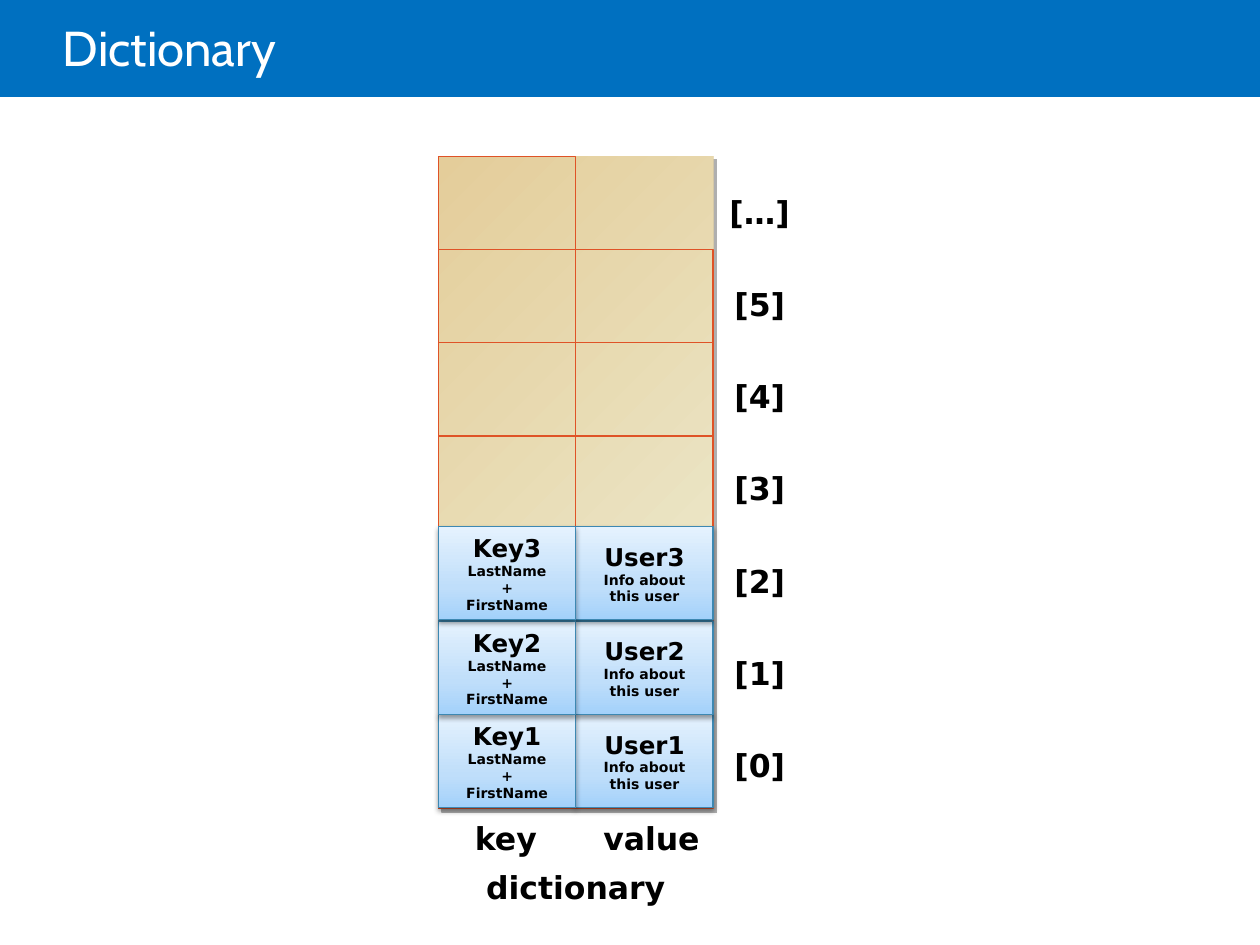
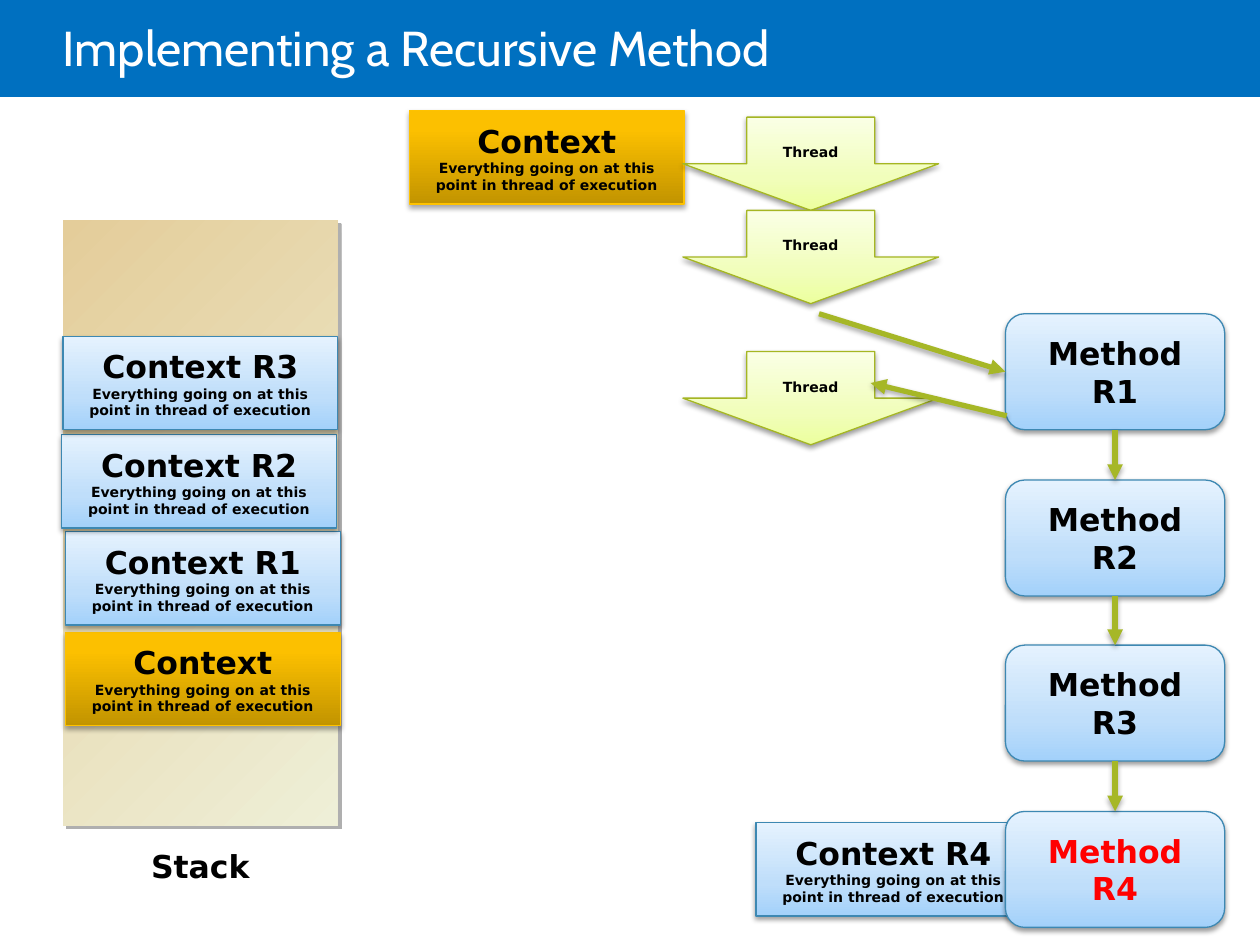
"""Build two slides: a dictionary layout and the call stack of a recursive method."""
from lxml.etree import SubElement
from pptx import Presentation
from pptx.dml.color import RGBColor
from pptx.enum.shapes import MSO_CONNECTOR, MSO_SHAPE
from pptx.enum.text import MSO_ANCHOR, MSO_AUTO_SIZE, PP_ALIGN
from pptx.oxml.ns import qn
from pptx.util import Pt

PX = 9144
COLORS = {
    "band": "0070C0", "white": "FFFFFF", "text": "000000", "alert": "FF0000",
    "sand": "E4CD9A", "sand_light": "EEEFD7", "sand_shadow": "AFAFAF",
    "cell": "DF5327", "arrow": "A6B727",
    "blue": "A3D1FA", "blue_mid": "BFDEFA", "blue_light": "E5F2FE", "blue_line": "3D88B2",
    "gold": "C29400", "gold_mid": "FCC000", "gold_light": "FDC100", "gold_line": "FEC200",
    "lime": "ECFF9E", "lime_mid": "F1FEBB", "lime_light": "FAFFE5", "lime_line": "A5B623",
}
SOFT_SHADOW = ("text", 38, 3.1, 1.6, 90)
DEEP_SHADOW = ("text", 35, 3.1, 1.8, 90)
LOOKS = {
    "band": {"stops": [(0, "band")]},
    "cell": {"line": "cell"},
    "sand": {"stops": [(0, "sand"), (100, "sand_light")], "angle": 315,
             "shadow": ("sand_shadow", 100, 0, 2.8, 45)},
    "blue": {"stops": [(0, "blue"), (35, "blue_mid"), (100, "blue_light")],
             "line": "blue_line", "shadow": SOFT_SHADOW},
    "gold": {"stops": [(0, "gold"), (80, "gold_mid"), (100, "gold_light")],
             "line": "gold_line", "shadow": DEEP_SHADOW},
    "lime": {"stops": [(0, "lime"), (35, "lime_mid"), (100, "lime_light")],
             "line": "lime_line", "shadow": SOFT_SHADOW},
}


def set_shadow(shape, shadow=None):
    """Replace the theme shadow by the given one, or by none."""
    effects = SubElement(shape._element.spPr, qn("a:effectLst"))
    if shadow:
        color, opacity, blur, distance, angle = shadow
        outer = SubElement(effects, qn("a:outerShdw"), blurRad=str(Pt(blur)), dist=str(Pt(distance)),
                           dir=str(angle * 60000), algn="tl", rotWithShape="0")
        tint = SubElement(outer, qn("a:srgbClr"), val=COLORS[color])
        SubElement(tint, qn("a:alpha"), val=str(opacity * 1000))


def add_text(slide, text, box, look=None, kind=MSO_SHAPE.RECTANGLE, size=18, color="text",
             font="DejaVu Sans", bold=True, title=False):
    """Add a text box, or a shape when a look is given; later paragraphs are small."""
    box = [length * PX for length in box]
    if look:
        style = LOOKS[look]
        shape = slide.shapes.add_shape(kind, *box)
        stops = style.get("stops", [])
        if not stops:
            shape.fill.background()
        elif len(stops) == 1:
            shape.fill.solid()
            shape.fill.fore_color.rgb = RGBColor.from_string(COLORS[stops[0][1]])
        else:
            shape.fill.gradient()
            shape.fill.gradient_angle = style.get("angle", 90)
            stop_list = shape._element.spPr.find(qn("a:gradFill")).find(qn("a:gsLst"))
            for old_stop in list(stop_list):
                stop_list.remove(old_stop)
            for position, stop_color in stops:
                stop = SubElement(stop_list, qn("a:gs"), pos=str(position * 1000))
                SubElement(stop, qn("a:srgbClr"), val=COLORS[stop_color])
        if "line" in style:
            shape.line.color.rgb = RGBColor.from_string(COLORS[style["line"]])
            shape.line.width = Pt(0.75)
        else:
            shape.line.fill.background()
        set_shadow(shape, style.get("shadow"))
    else:
        shape = slide.shapes.add_textbox(*box)
    if not text:
        return shape

    frame = shape.text_frame
    frame.text = text
    if look:
        frame.word_wrap = True
        frame.margin_left = frame.margin_right = 20 * PX
        frame.vertical_anchor = MSO_ANCHOR.MIDDLE
    elif title:
        frame.word_wrap = True
        frame.margin_left = 0
        frame.vertical_anchor = MSO_ANCHOR.MIDDLE
        frame.paragraphs[0].line_spacing = 0.85
    else:
        frame.word_wrap = False
        frame.auto_size = MSO_AUTO_SIZE.SHAPE_TO_FIT_TEXT
    for index, paragraph in enumerate(frame.paragraphs):
        paragraph.alignment = PP_ALIGN.CENTER if look else PP_ALIGN.LEFT
        run_font = paragraph.runs[0].font
        run_font.name = font
        run_font.size = Pt(8 if index else size)
        run_font.bold = bold
        run_font.color.rgb = RGBColor.from_string(COLORS[color])
    return shape


presentation = Presentation()
presentation.slide_width = 1000 * PX
presentation.slide_height = 750 * PX
slides = []
for heading in ("Dictionary", "Implementing a Recursive Method"):
    slide = presentation.slides.add_slide(presentation.slide_layouts[6])
    add_text(slide, "", (0, 0, 1000, 77), look="band")
    add_text(slide, heading, (50, 0, 850, 81), size=28, color="white", font="Cabin",
             bold=False, title=True)
    slides.append(slide)
dictionary_slide, recursion_slide = slides

KEY_LEFT, VALUE_LEFT, CELL_WIDTH, ROW_HEIGHT = 348, 457, 109, 74
add_text(dictionary_slide, "", (KEY_LEFT, 124, 2 * CELL_WIDTH, 7 * ROW_HEIGHT), look="sand")
for row in range(7):
    top = 124 + row * ROW_HEIGHT
    if row:
        add_text(dictionary_slide, "", (KEY_LEFT, top, 2 * CELL_WIDTH, ROW_HEIGHT), look="cell")
    add_text(dictionary_slide, "", (KEY_LEFT, top, CELL_WIDTH, ROW_HEIGHT), look="cell")
for index in range(6):
    add_text(dictionary_slide, f"[{index}]", (573, 587 - 220 * index // 3, 65, 40))
for caption, box in (
    ("[…]", (569, 148, 75, 40)),
    ("key", (367, 645, 71, 40)),
    ("value", (469, 645, 97, 40)),
    ("dictionary", (376, 684, 163, 40)),
):
    add_text(dictionary_slide, caption, box)
for left, name, detail in (
    (VALUE_LEFT, "User", "Info about this user"),
    (KEY_LEFT, "Key", "LastName + FirstName"),
):
    for index in range(3):
        add_text(dictionary_slide, f"{name}{index + 1}\n{detail}",
                 (left, 567 - 149 * index // 2, CELL_WIDTH, ROW_HEIGHT), look="blue", size=14)

add_text(recursion_slide, "", (50, 175, 218, 480), look="sand")
add_text(recursion_slide, "Stack", (110, 667, 98, 40))
for name, left, top, look in (
    ("Context", 325, 88, "gold"),
    ("Context", 52, 502, "gold"),
    ("Context R1", 52, 422, "blue"),
    ("Context R2", 49, 345, "blue"),
    ("Context R3", 50, 267, "blue"),
    ("Context R4", 600, 653, "blue"),
):
    add_text(recursion_slide, f"{name}\nEverything going on at this point in thread of execution",
             (left, top, 218, 74), look=look)
for top in (93, 167, 279):
    add_text(recursion_slide, "Thread", (542, top, 203, 74), look="lime",
             kind=MSO_SHAPE.DOWN_ARROW, size=8)

methods = [
    add_text(recursion_slide, f"Method R{index + 1}", (798, round(249 + 395 * index / 3), 174, 92),
             look="blue", kind=MSO_SHAPE.ROUNDED_RECTANGLE, color="alert" if index == 3 else "text")
    for index in range(4)
]
arrows = [((650, 249, 797, 294), None, (methods[0], 1)), ((799, 330, 691, 304), None, None)]
for caller, callee in zip(methods, methods[1:]):
    arrows.append(((885, 342, 885, 378), (caller, 2), (callee, 0)))
for ends, source, target in arrows:
    arrow = recursion_slide.shapes.add_connector(
        MSO_CONNECTOR.STRAIGHT, *[length * PX for length in ends])
    if source:
        arrow.begin_connect(*source)
    if target:
        arrow.end_connect(*target)
    arrow.line.color.rgb = RGBColor.from_string(COLORS["arrow"])
    arrow.line.width = Pt(3)
    SubElement(arrow._element.spPr.find(qn("a:ln")), qn("a:tailEnd"), type="triangle")
    set_shadow(arrow, DEEP_SHADOW)

presentation.save("out.pptx")
